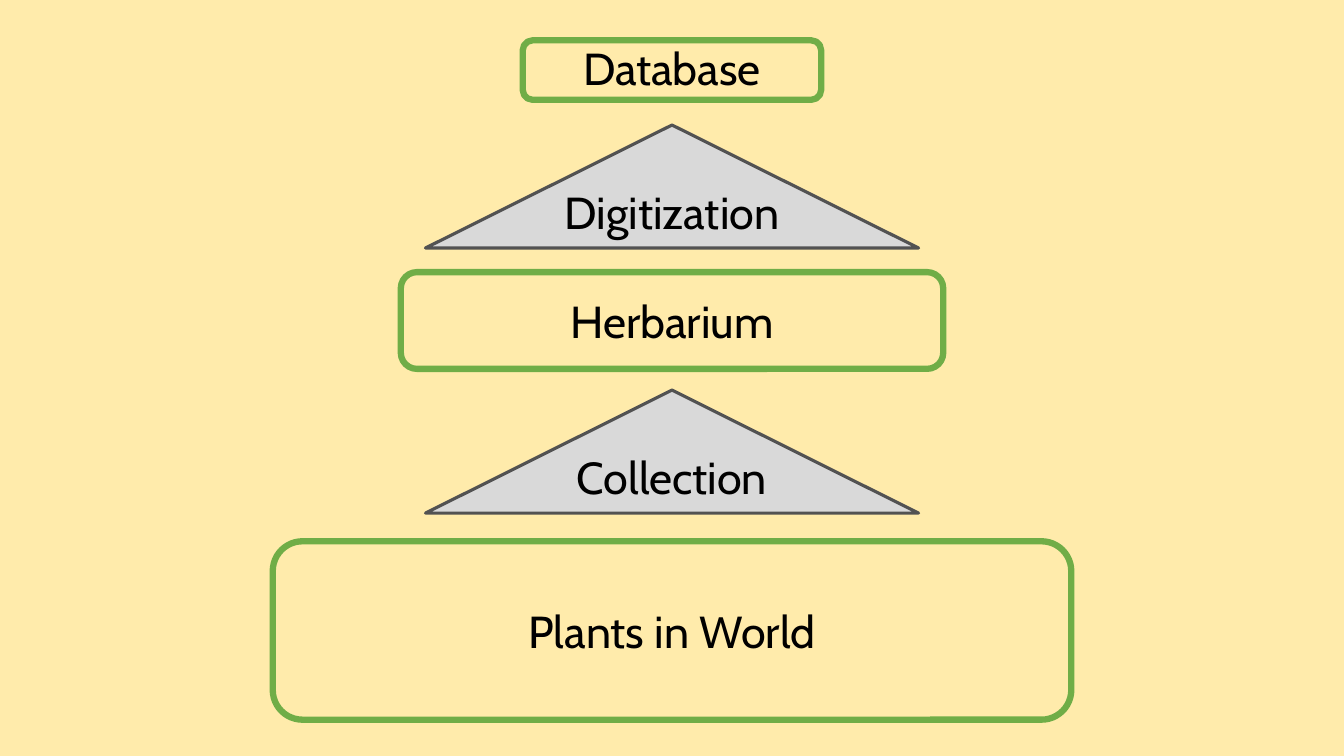
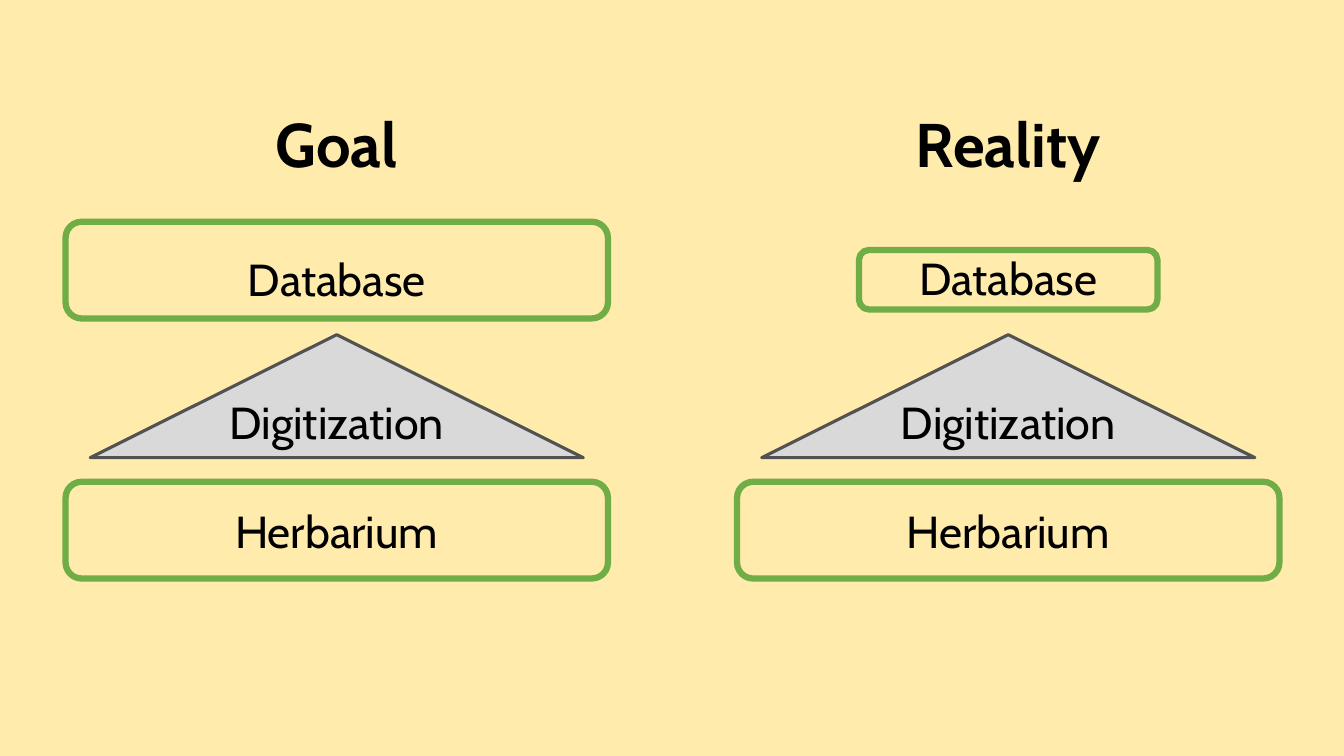
import pptx
import pptx.dml.color
import pptx.enum.shapes
import pptx.enum.text
import pptx.util

Inches = pptx.util.Inches
Pt = pptx.util.Pt
RGBColor = pptx.dml.color.RGBColor
Shape = pptx.enum.shapes.MSO_SHAPE

CREAM = RGBColor(0xFF, 0xEB, 0xAB)
GREEN = RGBColor(0x70, 0xAD, 0x47)
LIGHT_GRAY = RGBColor(0xD9, 0xD9, 0xD9)
DARK_GRAY = RGBColor(0x52, 0x52, 0x52)
BLACK = RGBColor(0, 0, 0)

SLIDE_WIDTH, SLIDE_HEIGHT = 13.33, 7.5
FONT = "Cabin"
LABEL_WIDTH, LABEL_HEIGHT = 2.41, 0.64
SMALL, MEDIUM, LARGE = (2.96, 0.59), (5.38, 0.96), (7.92, 1.77)
ARROW_WIDTH, ARROW_HEIGHT = 4.89, 1.22
ARROW_LABEL_DROP = 0.54


class Deck:
    """Holds the style and the current slide; every element is centred on an x."""

    def __init__(self):
        self.presentation = pptx.Presentation()
        self.presentation.slide_width = Inches(SLIDE_WIDTH)
        self.presentation.slide_height = Inches(SLIDE_HEIGHT)
        self.slide = None

    def add_slide(self):
        self.slide = self.presentation.slides.add_slide(self.presentation.slide_layouts[6])
        background = self.slide.background.fill
        background.solid()
        background.fore_color.rgb = CREAM

    def outline(self, preset, center, top, width, height, color, weight):
        shape = self.slide.shapes.add_shape(
            preset, Inches(center - width / 2), Inches(top), Inches(width), Inches(height))
        shape.shadow.inherit = False
        shape.fill.background()
        shape.line.color.rgb = color
        shape.line.width = Pt(weight)
        return shape

    def text(self, words, center, top, width, height, size, bold=False):
        box = self.slide.shapes.add_textbox(
            Inches(center - width / 2), Inches(top), Inches(width), Inches(height))
        frame = box.text_frame
        frame.word_wrap = True
        frame.vertical_anchor = pptx.enum.text.MSO_ANCHOR.MIDDLE
        paragraph = frame.paragraphs[0]
        paragraph.text = words
        paragraph.alignment = pptx.enum.text.PP_ALIGN.CENTER
        paragraph.font.name = FONT
        paragraph.font.size = Pt(size)
        paragraph.font.bold = bold
        paragraph.font.color.rgb = BLACK
        return box

    def heading(self, words, center, width):
        box = self.text(words, center, 1.09, width, 0.74, 44, bold=True)
        box.text_frame.paragraphs[0].line_spacing = 0.9

    def label(self, words, center, top, width=LABEL_WIDTH):
        box = self.text(words, center, top, width, LABEL_HEIGHT, 32)
        box.text_frame.auto_size = pptx.enum.text.MSO_AUTO_SIZE.SHAPE_TO_FIT_TEXT

    def stage(self, words, center, top, size, label_width=LABEL_WIDTH, label_shift=0):
        """Draw a rounded frame with its label in the middle, moved down by label_shift."""
        width, height = size
        self.outline(Shape.ROUNDED_RECTANGLE, center, top, width, height, GREEN, 4.5)
        label_top = top + (height - LABEL_HEIGHT) / 2 + label_shift
        self.label(words, center, label_top, label_width)

    def process(self, words, center, top):
        """Draw a triangle that leads from one stage up to the next."""
        triangle = self.outline(
            Shape.ISOSCELES_TRIANGLE, center, top, ARROW_WIDTH, ARROW_HEIGHT, DARK_GRAY, 2.25)
        triangle.fill.solid()
        triangle.fill.fore_color.rgb = LIGHT_GRAY
        self.label(words, center, top + ARROW_LABEL_DROP)


def build_pyramid(deck):
    deck.add_slide()
    middle = SLIDE_WIDTH / 2
    deck.stage("Plants in World", middle, 5.37, LARGE, label_width=ARROW_WIDTH)
    deck.process("Collection", middle, 3.87)
    deck.stage("Herbarium", middle, 2.7, MEDIUM)
    deck.process("Digitization", middle, 1.24)
    deck.stage("Database", middle, 0.4, SMALL, label_shift=-0.02)


def build_comparison(deck):
    deck.add_slide()
    columns = [
        ("Goal", 3.34, 1.94, 2.2, MEDIUM, 0.08),
        ("Reality", 10, 2.55, 2.48, SMALL, -0.02),
    ]
    for title, center, title_width, database_top, database_size, shift in columns:
        deck.heading(title, center, title_width)
        deck.stage("Herbarium", center, 4.78, MEDIUM)
        deck.process("Digitization", center, 3.32)
        deck.stage("Database", center, database_top, database_size, label_shift=shift)


def main():
    deck = Deck()
    build_pyramid(deck)
    build_comparison(deck)
    deck.presentation.save("out.pptx")


if __name__ == "__main__":
    main()
